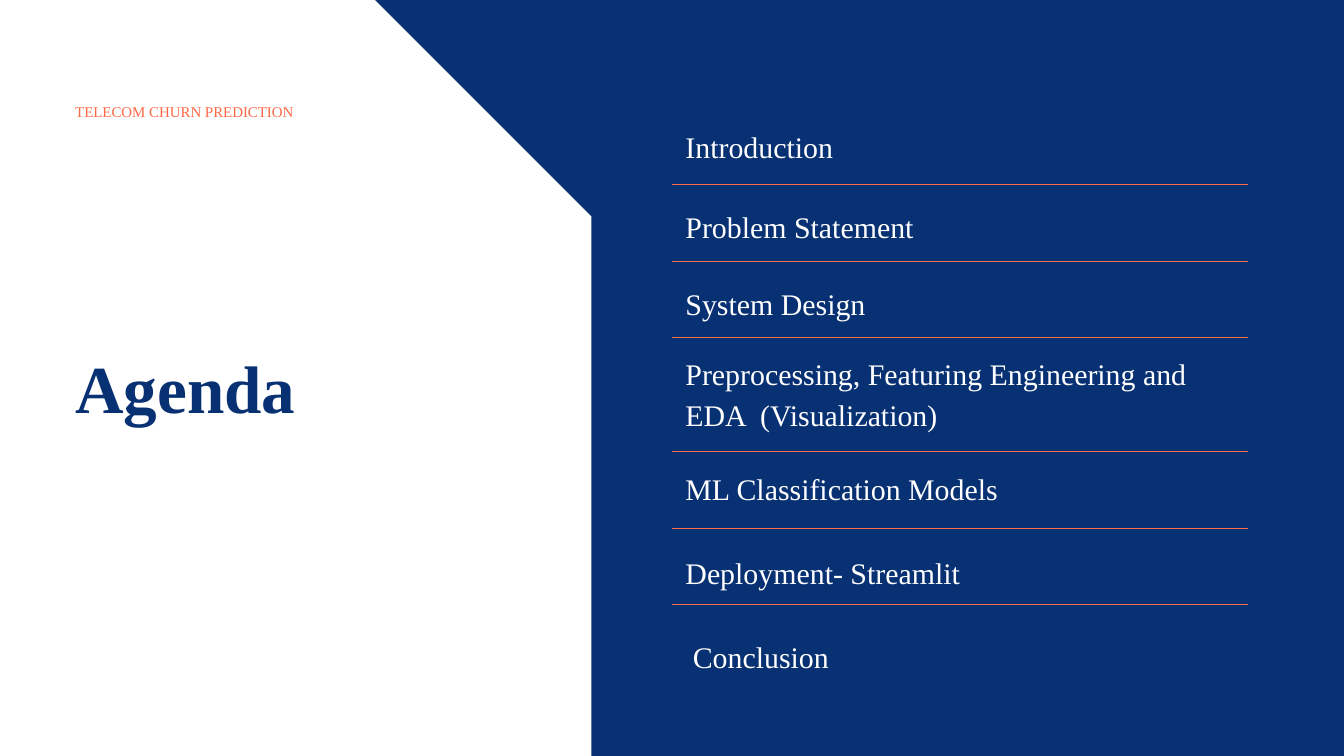
from itertools import product

from lxml import etree
from pptx import Presentation
from pptx.dml.color import RGBColor
from pptx.enum.shapes import MSO_CONNECTOR, MSO_SHAPE
from pptx.enum.text import MSO_AUTO_SIZE
from pptx.oxml.ns import qn
from pptx.util import Inches, Pt

STRAIGHT = MSO_CONNECTOR.STRAIGHT
RECTANGLE = MSO_SHAPE.RECTANGLE
GROW = MSO_AUTO_SIZE.SHAPE_TO_FIT_TEXT

COLORS = {"navy": "083173", "white": "FFFFFF", "orange": "FF6946"}
FONT = "Times New Roman"
WIDTH, HEIGHT = Inches(20), Inches(11.25)
LEFT_MARGIN, AGENDA_LEFT = 5.55, 50.95
RULE_LEFT, RULE_RIGHT, RULE_STEP = 50, 92.85, 10.1


def across(share):
    """Turn a percentage of the slide's width into a length."""
    return round(WIDTH * share / 100)


def down(share):
    """Turn a percentage of the slide's height into a length."""
    return round(HEIGHT * share / 100)


def color(name):
    """Look up a named colour."""
    return RGBColor.from_string(COLORS[name])


def paint(shape, fill):
    """Give a shape a plain fill without line or shadow."""
    shape.shadow.inherit = False
    shape.fill.solid()
    shape.fill.fore_color.rgb = color(fill)
    shape.line.fill.background()


def add_panel(page, corners, fill):
    """Draw a filled polygon through the given corners."""
    points = [(across(x), down(y)) for x, y in corners]
    builder = page.shapes.build_freeform(*points[0], scale=1.0)
    builder.add_line_segments(points[1:], close=True)
    paint(builder.convert_to_shape(), fill)


def add_rule(page, top):
    """Draw a thin divider between agenda items."""
    rule = page.shapes.add_connector(
        STRAIGHT, across(RULE_LEFT), down(top), across(RULE_RIGHT), down(top))
    rule.line.color.rgb = color("orange")
    rule.line.width = Pt(0.75)
    etree.SubElement(rule._element.spPr, qn("a:effectLst"))


def add_text(page, place, lines, size=32, ink="white", bold=False,
             gap=0, first_spacing=None, next_spacing=None):
    """Place a text box and return its paragraphs."""
    left, top, width, height = place
    box = page.shapes.add_textbox(across(left), down(top), across(width), down(height))
    frame = box.text_frame
    frame.word_wrap = True
    frame.auto_size = GROW
    frame.margin_left = frame.margin_top = Inches(0.01)
    frame.margin_right = frame.margin_bottom = 0
    frame.text = "\n".join(lines)
    for index, para in enumerate(frame.paragraphs):
        para.font.name = FONT
        para.font.size = Pt(size)
        para.font.bold = bold
        para.font.color.rgb = color(ink)
        para.line_spacing = next_spacing if index else first_spacing
        if index:
            para.space_before = Pt(gap)
    return frame.paragraphs


def add_agenda(page):
    """Add the agenda items and their dividers."""
    add_text(page, (AGENDA_LEFT, 16.89, 15.6, 4.89), ["Introduction"])
    add_text(page, (AGENDA_LEFT, 27.47, 24.05, 15.02),
             ["Problem Statement", "System Design"], gap=44.7)
    add_text(page, (AGENDA_LEFT, 46.22, 37.95, 11.2),
             ["Preprocessing, Featuring Engineering and EDA  (Visualization)"],
             first_spacing=1.15)
    closing = add_text(page, (AGENDA_LEFT, 62.22, 35.25, 27.11),
                       ["ML Classification Models", "Deployment- Streamlit", "Conclusion"],
                       gap=7.3, next_spacing=Pt(82.4))
    closing[-1]._p.get_or_add_pPr().set("marL", str(Inches(0.11)))
    for start, step in product((24.44, 59.73), range(3)):
        add_rule(page, start + step * RULE_STEP)


def main():
    """Build the agenda slide."""
    deck = Presentation()
    deck.slide_width, deck.slide_height = WIDTH, HEIGHT
    page = deck.slides.add_slide(deck.slide_layouts[6])
    paint(page.shapes.add_shape(RECTANGLE, 0, 0, WIDTH, HEIGHT), "navy")
    add_panel(page, [(0, 0), (27.9, 0), (44, 28.62), (44, 100), (0, 100)], "white")
    add_text(page, (LEFT_MARGIN, 45.78, 27.35, 10.93), ["Agenda"],
             size=72, ink="navy", bold=True)
    add_agenda(page)
    add_text(page, (LEFT_MARGIN, 13.42, 34.85, 2.49), ["TELECOM CHURN PREDICTION"],
             size=16, ink="orange")
    deck.save("out.pptx")


if __name__ == "__main__":
    main()
